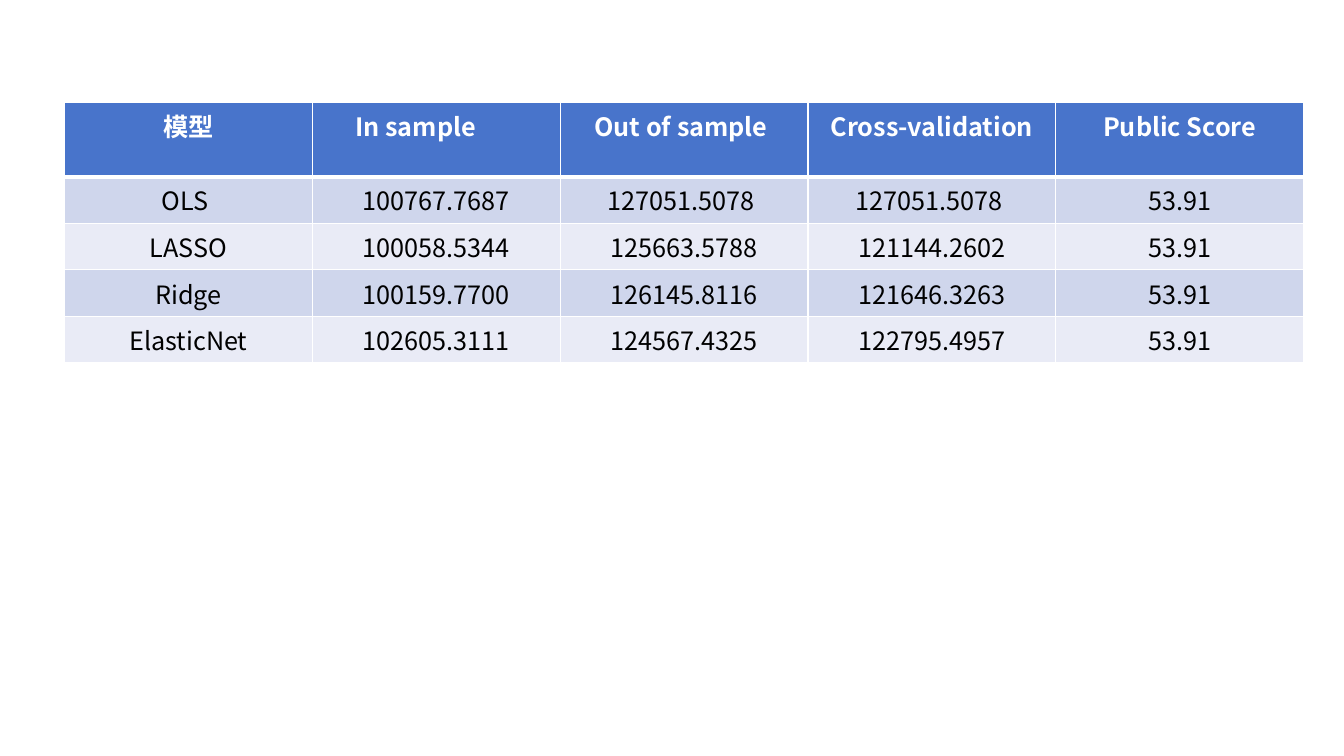
from dataclasses import dataclass

from lxml.etree import SubElement
from pptx import Presentation
from pptx.dml.color import RGBColor
from pptx.enum.text import PP_ALIGN
from pptx.oxml.ns import qn
from pptx.util import Inches, Pt


@dataclass(frozen=True)
class Theme:
    font: str = "Noto Sans CJK SC"
    size: int = 18
    head: str = "4874CB"
    bands: tuple = ("CFD6EC", "E9EBF6")
    light: str = "FFFFFF"
    dark: str = "000000"
    rule: int = 1
    thick: int = 3
    pad: float = 0.1


SCORES = [
    ("模型", "In sample", "Out of sample", "Cross-validation", "Public Score"),
    ("OLS", "100767.7687", "127051.5078", "127051.5078", "53.91"),
    ("LASSO", "100058.5344", "125663.5788", "121144.2602", "53.91"),
    ("Ridge", "100159.7700", "126145.8116", "121646.3263", "53.91"),
    ("ElasticNet", "102605.3111", "124567.4325", "122795.4957", "53.91"),
]
# Extra right margin in inches, by (row, column)
INSETS = {(0, 1): 0.41, (0, 2): 0.06, (1, 0): 0.06, (1, 2): 0.06, (1, 3): 0.06}


class Page:
    def __init__(self, deck, theme):
        self.deck = deck
        self.theme = theme
        self.slide = deck.slides.add_slide(deck.slide_layouts[6])

    def wide(self, share):
        """Turn a percentage of the slide width into a length."""
        return int(self.deck.slide_width * share / 100)

    def high(self, share):
        """Turn a percentage of the slide height into a length."""
        return int(self.deck.slide_height * share / 100)

    def table(self, data, left, top, col, head, row, insets):
        """Draw a banded table; places and sizes are slide percentages."""
        rows, cols = len(data), len(data[0])
        grid = self.slide.shapes.add_table(
            rows, cols, self.wide(left), self.high(top),
            self.wide(col * cols), self.high(head + row * (rows - 1))).table
        for column in grid.columns:
            column.width = self.wide(col)
        for r, texts in enumerate(data):
            grid.rows[r].height = self.high(row if r else head)
            for c, text in enumerate(texts):
                cell = grid.cell(r, c)
                cell.margin_right = Inches(self.theme.pad + insets.get((r, c), 0))
                self.edge(cell, r)
                self.fill(cell, r)
                self.text(cell, text, r == 0)

    def edge(self, cell, row):
        """Rule all four sides, with a thick line below the header."""
        theme = self.theme
        props = cell._tc.get_or_add_tcPr()
        for side in "LRTB":
            thick = (row, side) in ((0, "B"), (1, "T"))
            width = Pt(theme.thick if thick else theme.rule)
            line = SubElement(props, qn("a:ln" + side), w=str(width))
            paint = SubElement(line, qn("a:solidFill"))
            SubElement(paint, qn("a:srgbClr"), val=theme.light)

    def fill(self, cell, row):
        theme = self.theme
        color = theme.bands[(row - 1) % 2] if row else theme.head
        cell.fill.solid()
        cell.fill.fore_color.rgb = RGBColor.from_string(color)

    def text(self, cell, text, bold):
        theme = self.theme
        cell.text_frame.text = text
        line = cell.text_frame.paragraphs[0]
        line.alignment = PP_ALIGN.CENTER
        run = line.runs[0]
        font = run.font
        font.name, font.size, font.bold = theme.font, Pt(theme.size), bold
        font.color.rgb = RGBColor.from_string(theme.light if bold else theme.dark)
        SubElement(run._r.get_or_add_rPr(), qn("a:ea"), typeface=theme.font)


def main():
    deck = Presentation()
    deck.slide_width, deck.slide_height = Inches(13.33), Inches(7.5)
    page = Page(deck, Theme())
    page.table(SCORES, left=4.8, top=13.5, col=18.44, head=9.87, row=5.87,
               insets=INSETS)
    deck.save("out.pptx")


if __name__ == "__main__":
    main()
